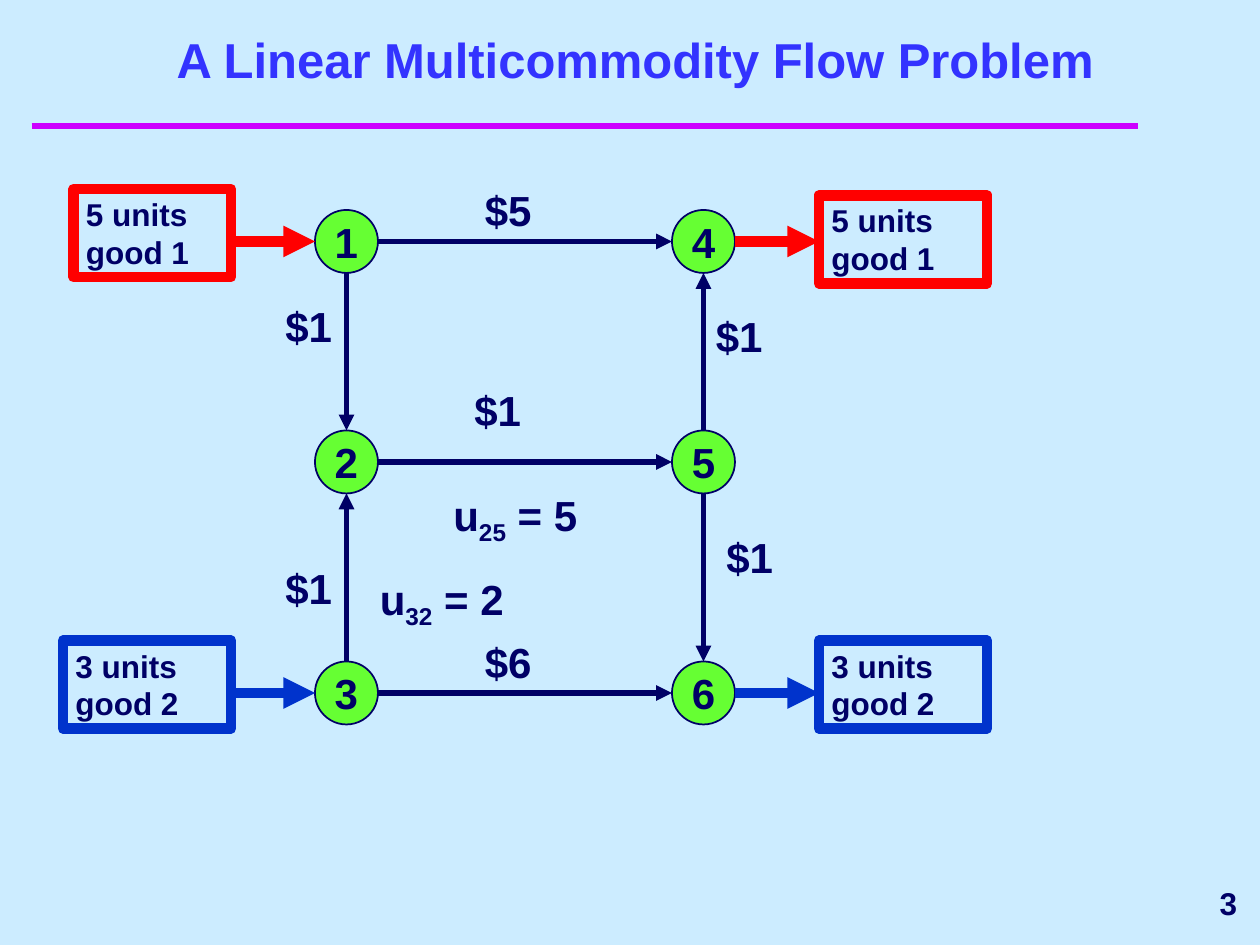
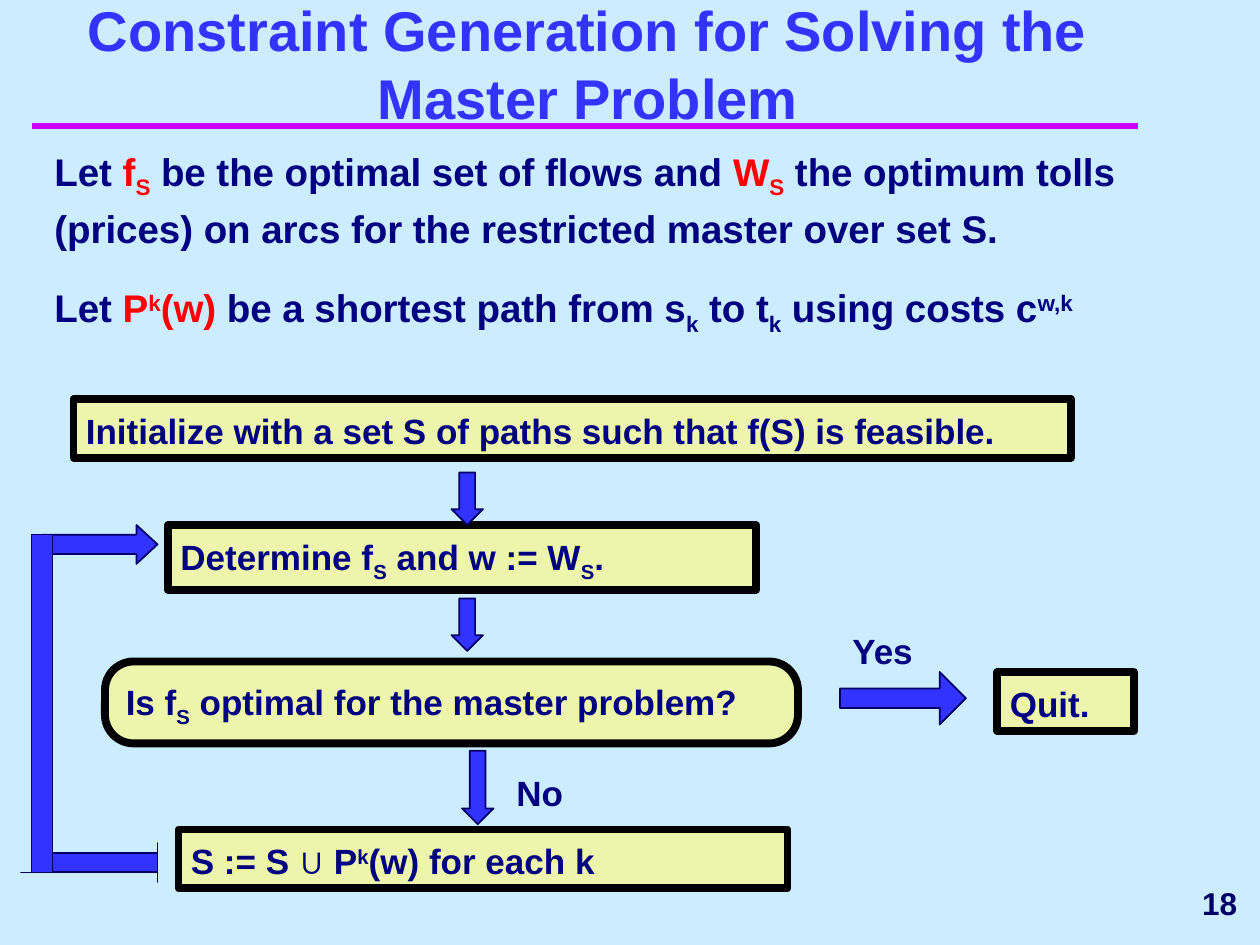
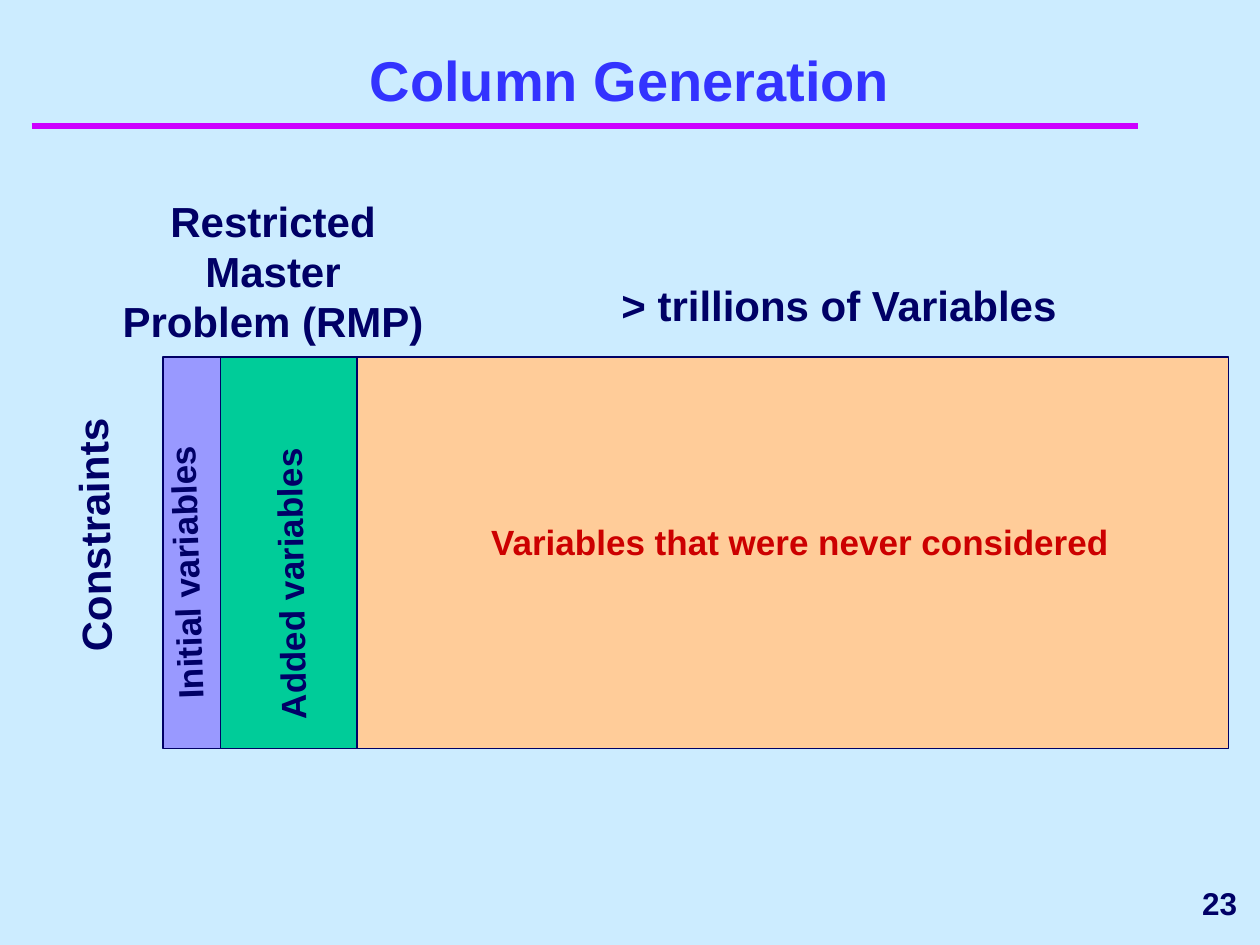
from dataclasses import dataclass
from typing import NamedTuple, Optional

from lxml.etree import SubElement
from pptx import Presentation
from pptx.dml.color import RGBColor
from pptx.enum.shapes import MSO_CONNECTOR as Connector, MSO_SHAPE as Shape
from pptx.enum.text import MSO_ANCHOR as Anchor, PP_ALIGN as Align
from pptx.oxml.ns import qn
from pptx.util import Emu, Pt

PX = 7620


@dataclass(frozen=True)
class Theme:
    font: str = "Arial"
    background: str = "CCECFF"
    rule: str = "CC00FF"
    title: str = "3333FF"
    ink: str = "000066"
    flow_ink: str = "000080"
    flow_fill: str = "EDF4AB"
    flow_border: str = "000000"
    block_arrow: str = "3333FF"
    node: str = "66FF33"
    good_1: str = "FF0000"
    good_2: str = "0033CC"
    emphasis: str = "FF0000"
    initial: str = "9999FF"
    added: str = "00CC99"
    unused: str = "FFCC99"
    unused_ink: str = "CC0000"
    title_size: int = 32
    small_title_size: int = 28
    label_size: int = 24
    statement_size: int = 22
    flow_size: int = 20
    small_size: int = 18
    flow_spacing: float = 1.1


class Span(NamedTuple):
    text: str
    baseline: int = 0
    color: Optional[str] = None


def sub(text, color=None):
    return Span(text, -25, color)


def sup(text, color=None):
    return Span(text, 30, color)


def rgb(color):
    return RGBColor.from_string(color)


class Painter:
    def __init__(self, theme):
        self.theme = theme
        self.deck = Presentation()
        self.deck.slide_width = Emu(1200 * PX)
        self.deck.slide_height = Emu(900 * PX)
        self.page = None

    def start_page(self, number, title, area, size, anchor=Anchor.BOTTOM):
        theme = self.theme
        self.page = self.deck.slides.add_slide(self.deck.slide_layouts[6])
        fill = self.page.background.fill
        fill.solid()
        fill.fore_color.rgb = rgb(theme.background)
        self.line((30, 120), (1084, 120), theme.rule, 4)
        self.text((960, 830, 230, 60), str(number), theme.small_size,
                  align=Align.RIGHT, anchor=Anchor.MIDDLE)
        self.text(area, title, size, theme.title, Align.CENTER, anchor)

    def line(self, start, end, color, width, arrow=False):
        ends = [Emu(value * PX) for value in (*start, *end)]
        connector = self.page.shapes.add_connector(Connector.STRAIGHT, *ends)
        connector.line.color.rgb = rgb(color)
        connector.line.width = Pt(width)
        properties = connector._element.spPr
        if arrow:
            SubElement(properties.find(qn("a:ln")), qn("a:tailEnd"), type="triangle")
        SubElement(properties, qn("a:effectLst"))

    def shape(self, kind, area, fill=None, border=None, width=1, adjustments=()):
        box = self.page.shapes.add_shape(kind, *[Emu(value * PX) for value in area])
        box.shadow.inherit = False
        for index, value in enumerate(adjustments):
            box.adjustments[index] = value
        if fill:
            box.fill.solid()
            box.fill.fore_color.rgb = rgb(fill)
        else:
            box.fill.background()
        box.line.color.rgb = rgb(border or self.theme.ink)
        box.line.width = Pt(width)
        return box

    def set_text(self, box, content, size, color=None, align=Align.LEFT,
                 anchor=Anchor.TOP, spacing=None, wrap=True):
        frame = box.text_frame
        frame.word_wrap = wrap
        frame.vertical_anchor = anchor
        para = frame.paragraphs[0]
        para.alignment = align
        if spacing:
            para.line_spacing = spacing
        para.font.name = self.theme.font
        para.font.size = Pt(size)
        para.font.bold = True
        para.font.color.rgb = rgb(color or self.theme.ink)
        for item in [content] if isinstance(content, str) else content:
            span = Span(item) if isinstance(item, str) else item
            run = para.add_run()
            run.text = span.text
            if span.color:
                run.font.color.rgb = rgb(span.color)
            if span.baseline:
                run._r.get_or_add_rPr().set("baseline", str(span.baseline * 1000))

    def text(self, area, content, size, color=None, align=Align.LEFT,
             anchor=Anchor.TOP, spacing=None, rotation=0):
        box = self.page.shapes.add_textbox(*[Emu(value * PX) for value in area])
        box.rotation = rotation
        self.set_text(box, content, size, color, align, anchor, spacing)

    def node(self, center, radius, label):
        x, y = center
        box = self.shape(Shape.OVAL, (x - radius, y - radius, 2 * radius, 2 * radius),
                         self.theme.node)
        self.set_text(box, label, self.theme.label_size, align=Align.CENTER,
                      anchor=Anchor.MIDDLE, wrap=False)

    def arc(self, start, end, radius):
        step_x, step_y = [radius * ((b > a) - (b < a)) for a, b in zip(start, end)]
        self.line((start[0] + step_x, start[1] + step_y),
                  (end[0] - step_x, end[1] - step_y), self.theme.ink, 3, arrow=True)

    def goods(self, area, label, color):
        box = self.shape(Shape.RECTANGLE, area, border=color, width=6)
        self.set_text(box, label, self.theme.small_size)

    def flow_text(self, area, content, size=None):
        self.text(area, content, size or self.theme.flow_size, self.theme.flow_ink,
                  spacing=self.theme.flow_spacing)

    def flow_box(self, area, content, kind=Shape.RECTANGLE, adjustments=()):
        theme = self.theme
        box = self.shape(kind, area, theme.flow_fill, theme.flow_border, 4.5, adjustments)
        self.set_text(box, content, theme.flow_size, theme.flow_ink,
                      spacing=theme.flow_spacing)

    def block_arrow(self, kind, area, shaft=0.5, head=0.5):
        self.shape(kind, area, self.theme.block_arrow, adjustments=(shaft, head))


def flow_problem(painter):
    theme = painter.theme
    painter.start_page(3, "A Linear Multicommodity Flow Problem",
                       (50, 40, 1110, 50), theme.small_title_size)
    radius = 30
    places = [(x, y) for x in (330, 670) for y in (230, 440, 660)]
    nodes = dict(enumerate(places, 1))
    for number, center in nodes.items():
        painter.node(center, radius, str(number))
    for start, end in [(1, 2), (3, 2), (2, 5), (1, 4), (5, 4), (5, 6), (3, 6)]:
        painter.arc(nodes[start], nodes[end], radius)

    goods = [
        (1, 4, "5 units good 1", theme.good_1, (70, 180, 150, 84), (780, 186, 160, 84)),
        (3, 6, "3 units good 2", theme.good_2, (60, 610, 160, 84), (780, 610, 160, 84)),
    ]
    for source, sink, label, color, supply, demand in goods:
        (source_x, y), (sink_x, _) = nodes[source], nodes[sink]
        painter.line((supply[0] + supply[2], y), (source_x - radius, y), color, 6, True)
        painter.goods(supply, label, color)
        painter.line((sink_x + radius, y), (demand[0], y), color, 6, True)
        painter.goods(demand, label, color)

    costs = [(450, 170, "$5"), (440, 360, "$1"), (450, 600, "$6"), (260, 530, "$1"),
             (260, 280, "$1"), (670, 290, "$1"), (680, 500, "$1")]
    for left, top, cost in costs:
        painter.text((left, top, 80, 60), cost, theme.label_size)
    for left, top, arc, limit in [(420, 460, "25", 5), (350, 540, "32", 2)]:
        painter.text((left, top, 230, 67), ["u", sub(arc), f" = {limit}"],
                     theme.label_size)


def constraint_generation(painter):
    theme = painter.theme
    accent = theme.emphasis
    painter.start_page(18, "Constraint Generation for Solving the Master Problem",
                       (50, 0, 1020, 130), theme.title_size)
    painter.flow_text(
        (40, 130, 1110, 115),
        ["Let ", Span("f", color=accent), sub("S", accent),
         " be the optimal set of flows and", Span(" W", color=accent), sub("S", accent),
         " the optimum tolls (prices) on arcs for the restricted master over set S."],
        theme.statement_size)
    painter.flow_text(
        (40, 260, 1110, 67),
        ["Let", Span(" P", color=accent), sup("k", accent), Span("(w)", color=accent),
         " be a shortest path from s", sub("k"), " to t", sub("k"),
         " using costs c", sup("w,k")],
        theme.statement_size)

    painter.flow_box((70, 380, 950, 56),
                     "Initialize with a set S of paths such that f(S) is feasible.")
    painter.flow_box((160, 500, 560, 62),
                     ["Determine f", sub("S"), " and w := W", sub("S"), "."])
    painter.flow_box((100, 630, 660, 78),
                     ["Is f", sub("S"), " optimal for the master problem?"],
                     Shape.ROUNDED_RECTANGLE, (0.35,))
    painter.flow_box((170, 790, 580, 56), ["S := S ∪ P", sup("k"), "(w) for each k"])
    painter.flow_box((950, 640, 130, 56), "Quit.")

    for left, top, height in [(430, 450, 50), (430, 570, 50), (440, 715, 70)]:
        painter.block_arrow(Shape.DOWN_ARROW, (left, top, 30, height))
    painter.block_arrow(Shape.RIGHT_ARROW, (800, 640, 120, 50), shaft=0.37)
    painter.block_arrow(Shape.RIGHT_ARROW, (40, 500, 110, 37), head=0.54)
    painter.block_arrow(Shape.RIGHT_ARROW, (40, 803, 110, 37), head=0)
    painter.block_arrow(Shape.DOWN_ARROW, (20, 509, 40, 322), head=0)

    painter.flow_text((800, 590, 110, 56), "Yes")
    painter.flow_text((480, 725, 110, 56), "No")


def column_generation(painter):
    theme = painter.theme
    painter.start_page(23, "Column Generation", (90, 30, 1020, 90),
                       theme.title_size, Anchor.MIDDLE)
    left = 155
    for width, color in [(55, theme.initial), (130, theme.added), (830, theme.unused)]:
        painter.shape(Shape.RECTANGLE, (left, 340, width, 373), color)
        left += width
    painter.text((-101, 480, 380, 60), "Constraints", theme.label_size,
                 align=Align.CENTER, rotation=269)
    painter.text((32, 508, 288, 52), "Initial variables", theme.flow_size, rotation=268)
    painter.text((113, 508, 326, 52), "Added variables", theme.flow_size, rotation=269)
    painter.text((580, 260, 460, 60), "> trillions of Variables", theme.label_size)
    painter.text((456, 490, 630, 52), "Variables that were never considered",
                 theme.flow_size, theme.unused_ink)
    painter.text((100, 180, 320, 156), "Restricted Master Problem (RMP)",
                 theme.label_size, align=Align.CENTER)


def main():
    painter = Painter(Theme())
    flow_problem(painter)
    constraint_generation(painter)
    column_generation(painter)
    painter.deck.save("out.pptx")


if __name__ == "__main__":
    main()
